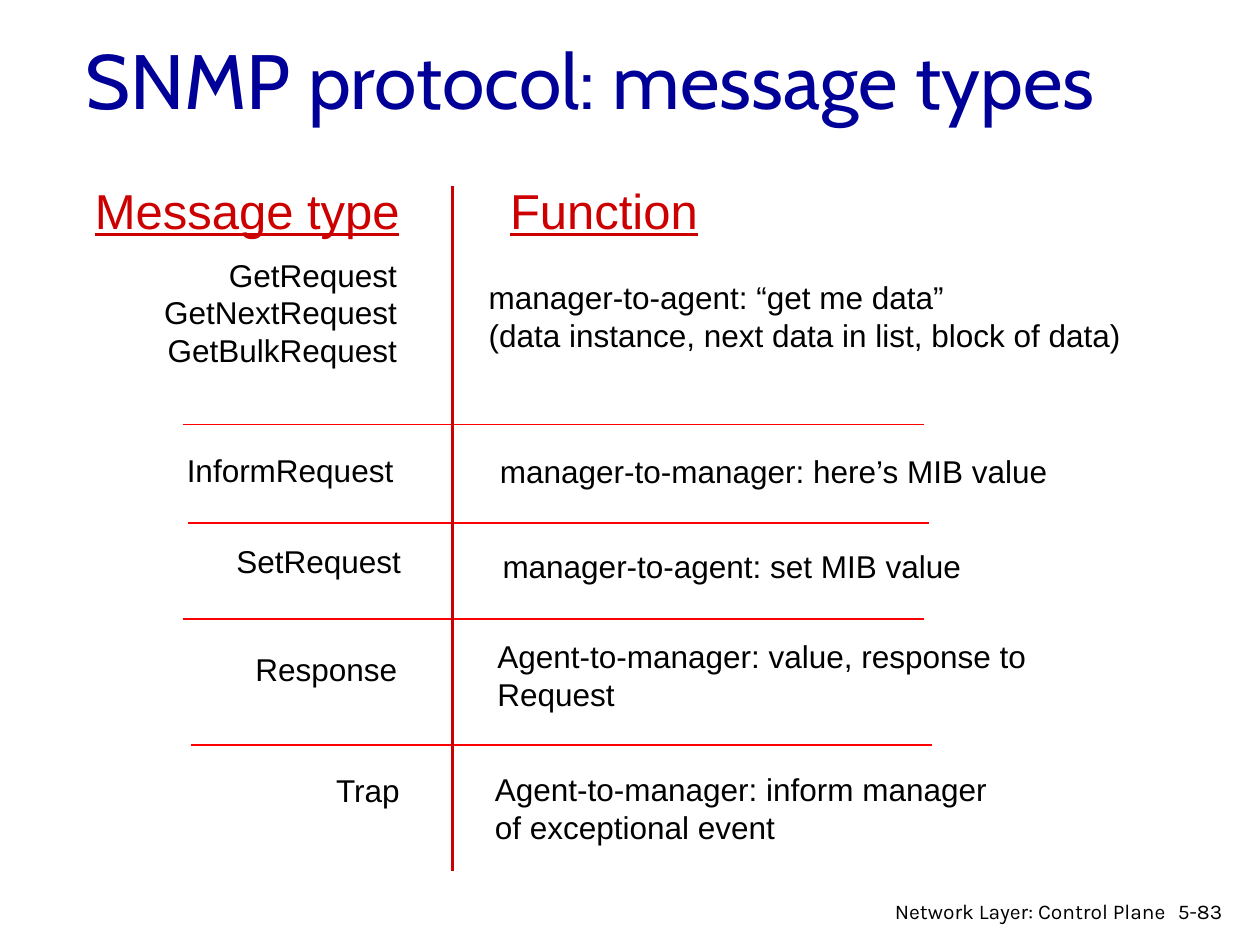
"""Build the slide that lists SNMP message types and their functions."""
from typing import NamedTuple

from lxml.etree import SubElement
from pptx import Presentation
from pptx.dml.color import RGBColor
from pptx.enum.shapes import MSO_CONNECTOR
from pptx.enum.text import MSO_ANCHOR, MSO_AUTO_SIZE, PP_ALIGN
from pptx.oxml.ns import qn
from pptx.slide import Slide
from pptx.text.text import TextFrame
from pptx.util import Inches, Pt

NAVY = RGBColor(0x00, 0x00, 0x99)
BLACK = RGBColor(0x00, 0x00, 0x00)
CRIMSON = RGBColor(0xCC, 0x00, 0x00)
RED = RGBColor(0xFF, 0x00, 0x00)


class Style(NamedTuple):
    font: str
    size: int
    color: RGBColor
    under: bool = False


class Label(NamedTuple):
    text: str
    left: float
    top: float
    width: float
    height: float
    right: bool = False
    style: Style = Style("Arial", 18, BLACK)
    wrap: bool = True


class Rule(NamedTuple):
    start: tuple[float, float]
    end: tuple[float, float]
    color: RGBColor = RED
    weight: float = 1


TITLE = Style("Cabin", 44, NAVY)
HEAD = Style("Arial", 28, CRIMSON, True)
FOOT = Style("Karla", 12, BLACK)

HEADS = [
    Label("Message type", 0.62, 1.38, 2.65, 0.57, True, HEAD, False),
    Label("Function", 3.95, 1.38, 1.71, 0.57, False, HEAD, False),
]
TYPES = [
    Label("GetRequest\nGetNextRequest\nGetBulkRequest", 0.55, 1.98, 2.7, 1.31, True, wrap=False),
    Label("InformRequest", 0.4, 3.53, 2.82, 0.5, True),
    Label("SetRequest", 0.46, 4.25, 2.82, 0.5, True),
    Label("Response", 0.43, 5.11, 2.82, 0.5, True),
    Label("Trap", 0.45, 6.07, 2.82, 0.5, True),
]
ROLES = [
    Label("manager-to-agent: “get me data”\n(data instance, next data in list, block of data)",
          3.78, 2.16, 5.27, 0.71, wrap=False),
    Label("manager-to-manager: here’s MIB value", 3.87, 3.54, 4.93, 0.4),
    Label("manager-to-agent: set MIB value", 3.89, 4.29, 4.67, 0.4),
    Label("Agent-to-manager: value, response to\nRequest", 3.85, 5.01, 4.63, 0.71),
    Label("Agent-to-manager: inform manager\nof exceptional event", 3.83, 6.06, 5.24, 0.71),
]
FOOTER = [
    Label("5-83", 9.25, 7.08, 0.6, 0.3, style=FOOT),
    Label("Network Layer: Control Plane", 6.97, 7.08, 2.38, 0.26, True, FOOT),
]
SPAN = 5.88
ROWS = [(1.45, 3.37), (1.49, 4.15), (1.45, 4.91), (1.52, 5.91)]
RULES = [Rule((x, y), (x + SPAN, y)) for x, y in ROWS]
RULES.append(Rule((3.59, 1.48), (3.59, 6.91), CRIMSON, 2))


def fill_text(frame: TextFrame, text: str, style: Style, align: PP_ALIGN) -> None:
    frame.text = text
    for para in frame.paragraphs:
        para.alignment = align
        for run in para.runs:
            font = run.font
            font.name = style.font
            font.size = Pt(style.size)
            font.color.rgb = style.color
            if style.under:
                font.underline = True


def add_title(slide: Slide, text: str) -> None:
    title = slide.shapes.title
    title.left, title.top = Inches(0.58), Inches(0)
    title.width, title.height = Inches(8.5), Inches(1.25)
    frame = title.text_frame
    frame.vertical_anchor = MSO_ANCHOR.MIDDLE
    frame.auto_size = MSO_AUTO_SIZE.NONE
    fill_text(frame, text, TITLE, PP_ALIGN.LEFT)


def add_label(slide: Slide, label: Label) -> None:
    box = slide.shapes.add_textbox(Inches(label.left), Inches(label.top),
                                   Inches(label.width), Inches(label.height))
    frame = box.text_frame
    frame.word_wrap = label.wrap
    align = PP_ALIGN.RIGHT if label.right else PP_ALIGN.LEFT
    fill_text(frame, label.text, label.style, align)


def add_rule(slide: Slide, rule: Rule) -> None:
    points = [Inches(value) for value in rule.start + rule.end]
    line = slide.shapes.add_connector(MSO_CONNECTOR.STRAIGHT, *points)
    line.line.color.rgb = rule.color
    line.line.width = Pt(rule.weight)
    SubElement(line._element.spPr, qn("a:effectLst"))


def main() -> None:
    deck = Presentation()
    deck.slide_width, deck.slide_height = Inches(10), Inches(7.5)
    slide = deck.slides.add_slide(deck.slide_layouts[5])
    add_title(slide, "SNMP protocol: message types")
    for label in HEADS + TYPES + ROLES + FOOTER:
        add_label(slide, label)
    for rule in RULES:
        add_rule(slide, rule)
    deck.save("out.pptx")


if __name__ == "__main__":
    main()
